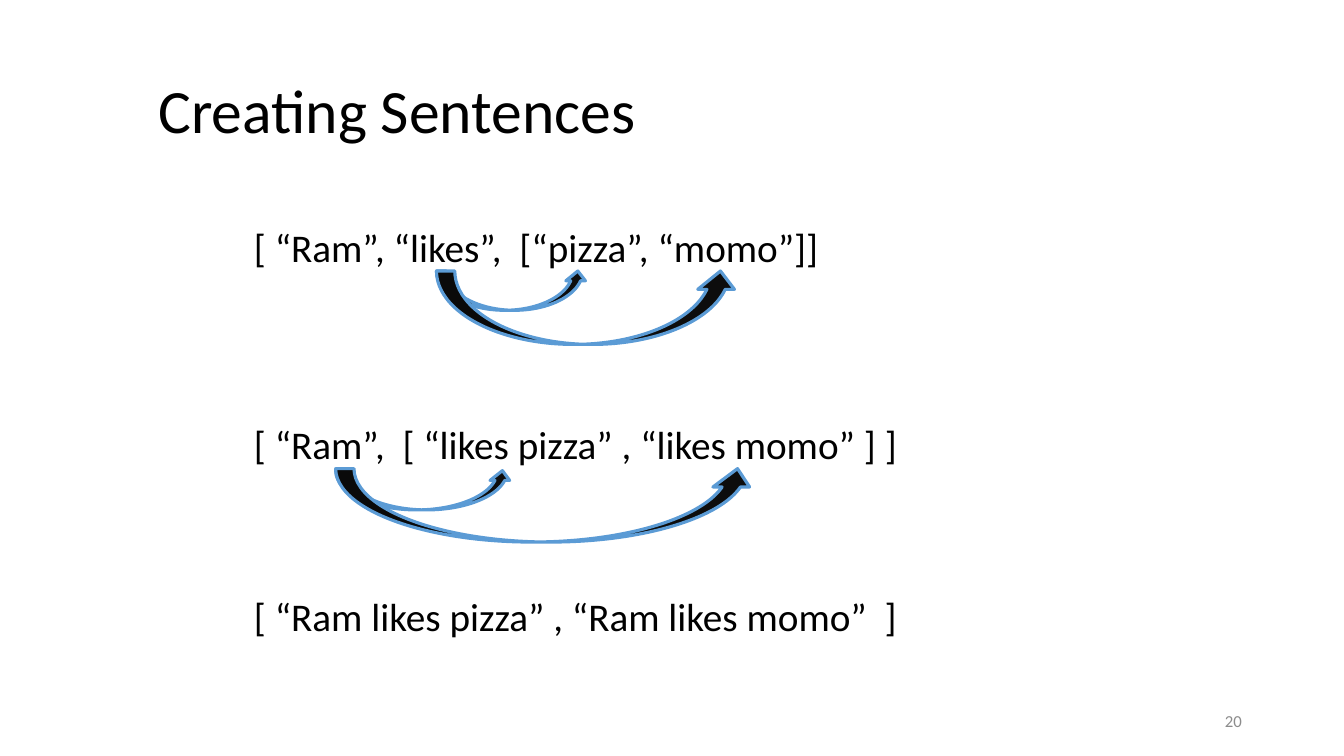
from pptx import Presentation
from pptx.dml.color import RGBColor
from pptx.enum.shapes import MSO_SHAPE as Preset
from pptx.enum.text import MSO_ANCHOR as Anchor, MSO_AUTO_SIZE as AutoSize, PP_ALIGN as Align
from pptx.util import Cm, Pt

COLORS = {"text": "000000", "number": "8C8C8C", "arrow": "0D0D0D", "outline": "5B9BD5"}
LIST_LEFT, LIST_WIDTH = 6.15, 21.59
SHORT_ARC, LONG_ARC = 0.99, 1.85

LISTS = [
    (5.51, 2.64, "[ “Ram”, “likes”,  [“pizza”, “momo”]]"),
    (10.46, 1.45, "[ “Ram”,  [ “likes pizza” , “likes momo” ] ]"),
    (14.81, 1.45, "[ “Ram likes pizza” , “Ram likes momo”  ]"),
]
ARROWS = [
    (11, 6.83, 3.81, SHORT_ARC),
    (11, 6.83, 7.62, LONG_ARC),
    (8.46, 11.86, 4.45, SHORT_ARC),
    (8.46, 11.81, 10.59, LONG_ARC),
]


def color(name):
    return RGBColor.from_string(COLORS[name])


def write(frame, text, size=28, ink="text", align=Align.LEFT, anchor=Anchor.TOP, spacing=1.0):
    frame.word_wrap = True
    frame.auto_size = AutoSize.NONE
    frame.vertical_anchor = anchor
    paragraph = frame.paragraphs[0]
    paragraph.alignment = align
    paragraph.line_spacing = spacing
    run = paragraph.add_run()
    run.text = text
    run.font.name = "Calibri"
    run.font.size = Pt(size)
    run.font.color.rgb = color(ink)


def add_title(slide, text):
    title = slide.shapes.title
    title.left, title.top, title.width, title.height = Cm(2.34), Cm(1.02), Cm(29.21), Cm(3.68)
    title.text_frame.margin_left = Cm(1.65)
    write(title.text_frame, text, size=44, anchor=Anchor.MIDDLE, spacing=0.9)


def add_label(slide, left, top, width, height, text, **style):
    label = slide.shapes.add_textbox(Cm(left), Cm(top), Cm(width), Cm(height))
    write(label.text_frame, text, **style)


def add_arrow(slide, left, top, width, height):
    arrow = slide.shapes.add_shape(Preset.CURVED_UP_ARROW, Cm(left), Cm(top), Cm(width), Cm(height))
    arrow.shadow.inherit = False
    arrow.fill.solid()
    arrow.fill.fore_color.rgb = color("arrow")
    arrow.line.color.rgb = color("outline")
    arrow.line.width = Pt(2.25)


def main():
    deck = Presentation()
    deck.slide_width, deck.slide_height = Cm(33.87), Cm(19.05)
    slide = deck.slides.add_slide(deck.slide_layouts.get_by_name("Title Only"))
    add_title(slide, "Creating Sentences")
    add_label(slide, 23.93, 17.65, 7.62, 1.02, "20", size=12, ink="number",
              align=Align.RIGHT, anchor=Anchor.MIDDLE)
    for top, height, words in LISTS:
        add_label(slide, LIST_LEFT, top, LIST_WIDTH, height, words)
    for place in ARROWS:
        add_arrow(slide, *place)
    deck.save("out.pptx")


main()
